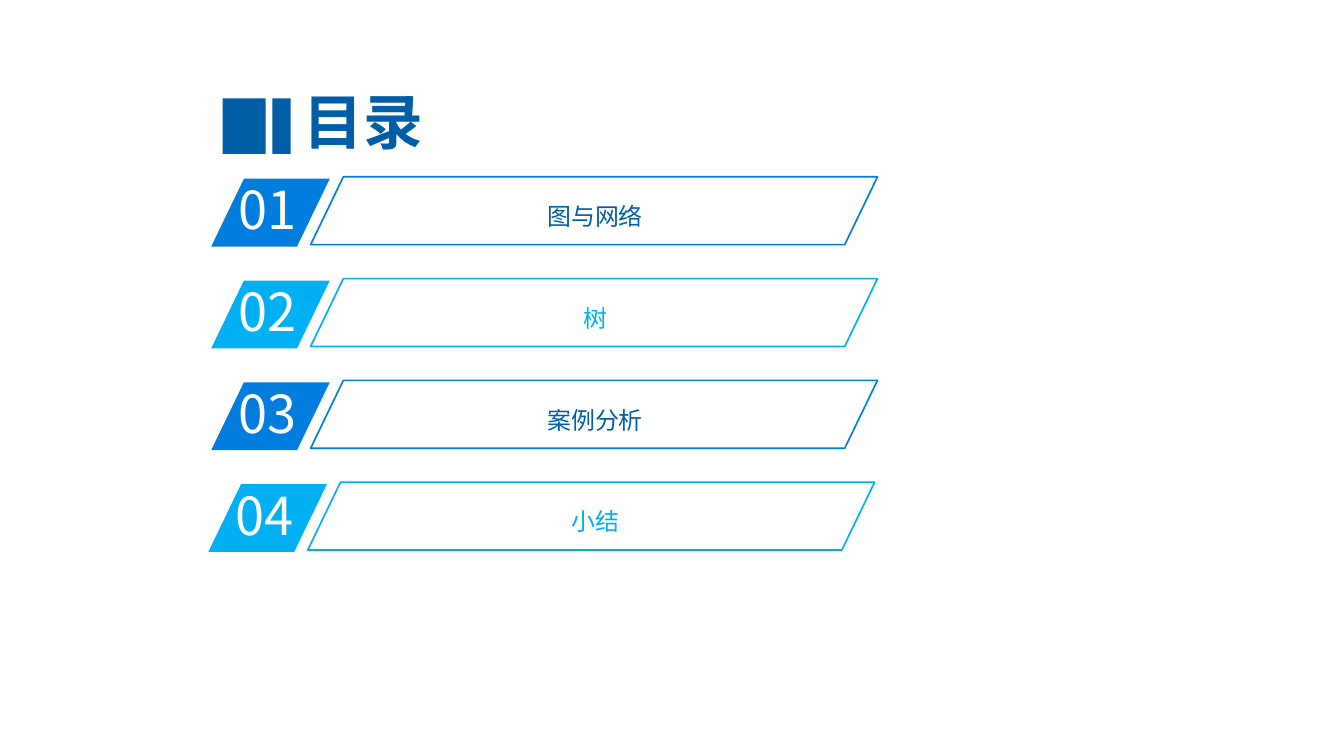
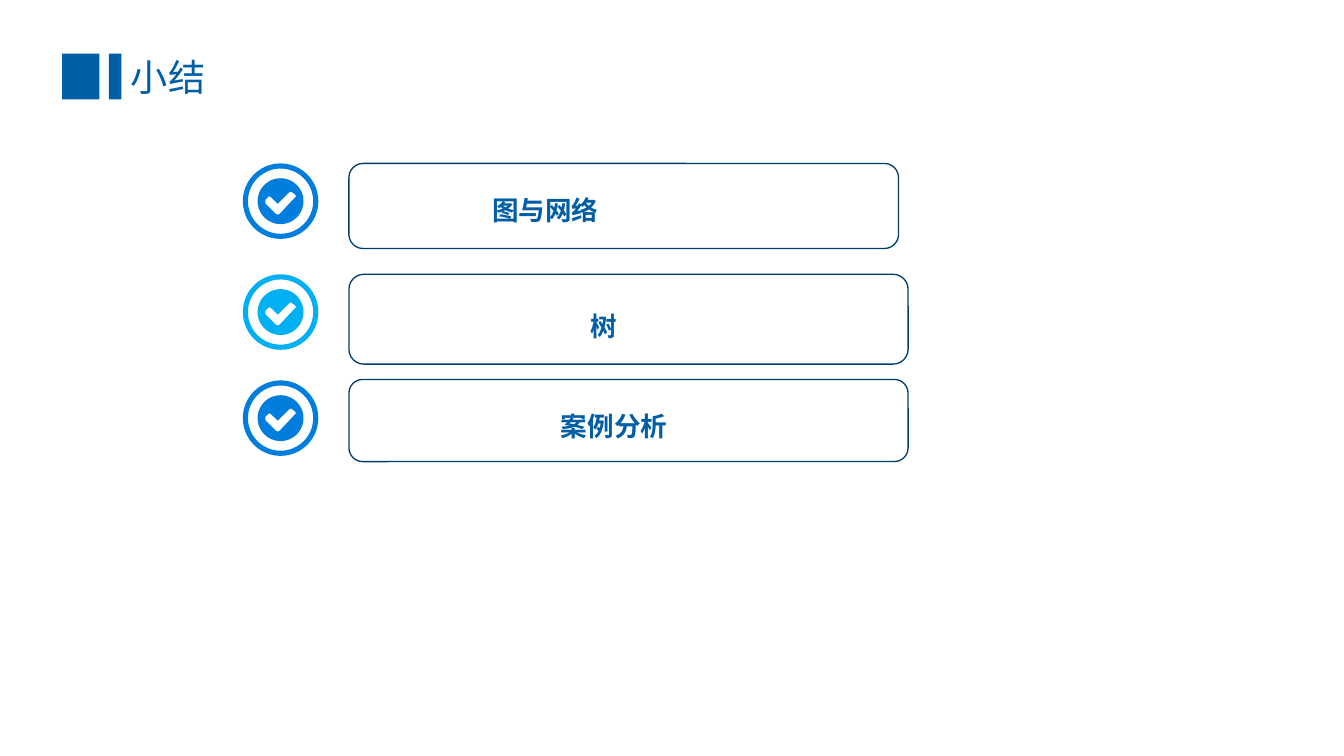
from lxml.etree import SubElement
from pptx import Presentation
from pptx.dml.color import RGBColor
from pptx.enum.shapes import MSO_SHAPE as Shape
from pptx.enum.text import MSO_ANCHOR as Anchor, MSO_AUTO_SIZE as AutoSize, PP_ALIGN as Align
from pptx.oxml.ns import qn
from pptx.util import Inches, Pt

FONT = "Noto Sans CJK SC"
NAVY, BLUE, SKY, WHITE, OUTLINE = "005EA6", "007DDD", "00B0F2", "FFFFFF", "003E6E"
colour = RGBColor.from_string


def draw(slide, kind, box, fill=None, line=None, width=1, adjust=None):
    shape = slide.shapes.add_shape(kind, *map(Inches, box))
    shape.shadow.inherit = False
    for part, value in ((shape.fill, fill), (shape.line.fill, line)):
        if value:
            part.solid()
            part.fore_color.rgb = colour(value)
        else:
            part.background()
    if line:
        shape.line.width = Pt(width)
    if adjust:
        shape.adjustments[0] = adjust


def write(shape, text, size, tint, bold=False, align=Align.LEFT, spacing=1.0,
          anchor=Anchor.TOP, fit=AutoSize.SHAPE_TO_FIT_TEXT):
    frame = shape.text_frame
    frame.text = text
    paragraph = frame.paragraphs[0]
    run = paragraph.runs[0]
    formats = (
        (frame, {"word_wrap": True, "vertical_anchor": anchor, "auto_size": fit}),
        (paragraph, {"alignment": align, "line_spacing": spacing}),
        (run.font, {"name": FONT, "size": Pt(size), "bold": bold}),
    )
    for target, values in formats:
        for name, value in values.items():
            setattr(target, name, value)
    run.font.color.rgb = colour(tint)
    SubElement(run.font._element, qn("a:ea"), typeface=FONT)


presentation = Presentation()
presentation.slide_width, presentation.slide_height = Inches(14.06), Inches(7.91)
title_only = presentation.slide_layouts[5]

# Headings: a title behind a wide and a narrow bar
headings = (
    ("目录", (2.07, 0.88, 3.47, 0.76), ((2.33, 1.03, 0.45, 0.58), (2.85, 1.03, 0.19, 0.58)),
     {"size": 45, "bold": True, "align": Align.CENTER, "anchor": Anchor.MIDDLE,
      "fit": AutoSize.NONE}),
    ("小结", (1.27, 0.52, 5.3, 0.57), ((0.65, 0.56, 0.39, 0.48), (1.14, 0.56, 0.13, 0.48)),
     {"size": 28}),
)
for text, box, bars, style in headings:
    slide = presentation.slides.add_slide(title_only)
    title = slide.shapes.title
    title.left, title.top, title.width, title.height = map(Inches, box)
    write(title, text, tint=NAVY, **style)
    for bar in bars:
        draw(slide, Shape.RECTANGLE, bar, fill=NAVY)
contents, summary = presentation.slides

# Contents: numbered rows at an equal pitch
ROW_TOP, ROW_PITCH, ROW_HEIGHT, SLANT = 1.87, 1.065, 0.71, 0.482
rows = (
    ("图与网络", BLUE, NAVY, 2.21),
    ("树", SKY, SKY, 2.21),
    ("案例分析", BLUE, NAVY, 2.21),
    ("小结", SKY, SKY, 2.18),
)
for index, (label, accent, tint, left) in enumerate(rows):
    top = ROW_TOP + index * ROW_PITCH
    draw(contents, Shape.PARALLELOGRAM, (left, top, 1.24, ROW_HEIGHT), fill=accent, adjust=SLANT)
    draw(contents, Shape.PARALLELOGRAM, (left + 1.04, top - 0.02, 5.93, ROW_HEIGHT),
         line=accent, width=1.25, adjust=SLANT)
    number_box = contents.shapes.add_textbox(*map(Inches, (left + 0.19, top - 0.06, 1.18, 0.76)))
    write(number_box, f"{index + 1:02}", 39.4, WHITE)
    label_box = contents.shapes.add_textbox(*map(Inches, (4.05, top + 0.04, 4.35, 0.49)))
    write(label_box, label, 18, tint, align=Align.CENTER, spacing=1.5)

# Summary: ticked badges beside rounded boxes
BADGE_LEFT, RING, DISC = 2.54, 0.79, 0.48
INSET = (RING - DISC) / 2
tick = ((0.39, 0.17), (0.36, 0.15), (0.35, 0.14), (0.33, 0.15), (0.21, 0.27), (0.14, 0.2),
        (0.12, 0.19), (0.11, 0.2), (0.08, 0.23), (0.08, 0.26), (0.19, 0.37), (0.21, 0.38),
        (0.23, 0.37), (0.39, 0.2), (0.4, 0.19))
# label, accent, badge top, box top, box width, box height, text left, text top
points = (
    ("图与网络", BLUE, 1.71, 1.71, 5.75, 0.89, 5.05, 1.91),
    ("树", SKY, 2.87, 2.87, 5.85, 0.94, 6.08, 3.13),
    ("案例分析", BLUE, 3.98, 3.97, 5.85, 0.86, 5.77, 4.17),
)
for label, accent, badge_top, box_top, width, height, text_left, text_top in points:
    draw(summary, Shape.DONUT, (BADGE_LEFT, badge_top, RING, RING), fill=accent, adjust=0.068)
    disc_left, disc_top = BADGE_LEFT + INSET, badge_top + INSET
    draw(summary, Shape.OVAL, (disc_left, disc_top, DISC, DISC), fill=accent)
    outline = [(Inches(disc_left + x), Inches(disc_top + y)) for x, y in tick]
    builder = summary.shapes.build_freeform(*outline[0])
    builder.add_line_segments(outline[1:], close=True)
    mark = builder.convert_to_shape()
    mark.shadow.inherit = False
    mark.fill.solid()
    mark.fill.fore_color.rgb = colour(WHITE)
    mark.line.fill.background()
    draw(summary, Shape.ROUNDED_RECTANGLE, (3.65, box_top, width, height), line=OUTLINE)
    label_box = summary.shapes.add_textbox(*map(Inches, (text_left, text_top, 3, 0.45)))
    write(label_box, label, 20, NAVY, bold=True, align=Align.JUSTIFY, spacing=1.2)

presentation.save("out.pptx")
